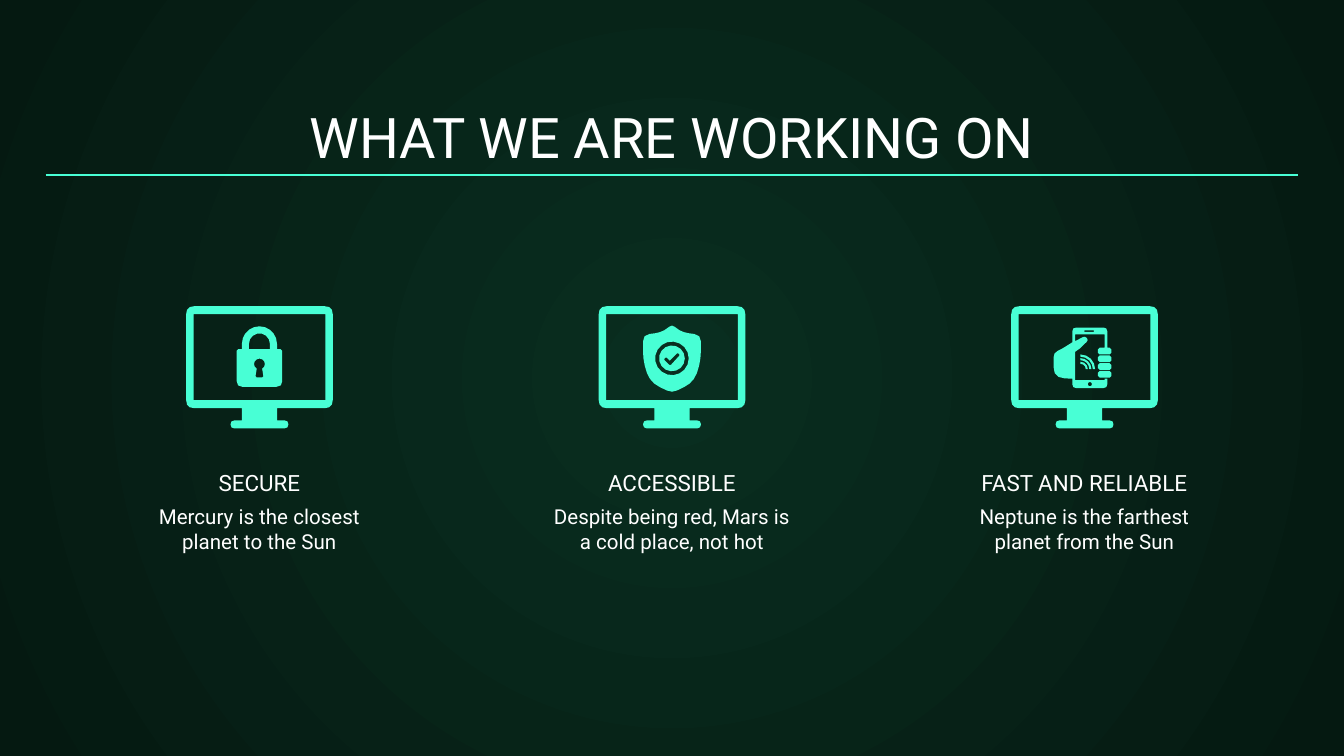
from dataclasses import dataclass
from math import ceil, cos, dist, radians, sin

from lxml.etree import SubElement
from pptx import Presentation
from pptx.dml.color import RGBColor
from pptx.enum.shapes import MSO_CONNECTOR
from pptx.enum.text import MSO_ANCHOR, PP_ALIGN
from pptx.oxml.ns import qn
from pptx.util import Pt


@dataclass(frozen=True)
class Theme:
    accent: RGBColor = RGBColor(0x48, 0xFF, 0xD5)
    text: RGBColor = RGBColor(0xFF, 0xFF, 0xFF)
    center: RGBColor = RGBColor(0x09, 0x2E, 0x20)
    edge: RGBColor = RGBColor(0x05, 0x19, 0x11)
    font: str = "Roboto"
    title_size: int = 30
    label_size: int = 12
    body_size: int = 11


THEME = Theme()
SLIDE_WIDTH, SLIDE_HEIGHT = 720, 405
COLUMN_PITCH = 221
ICON_TOP = 164


# Outlines: lists of (x, y, corner cut) in points, from the icon's top centre
def arc(x, y, radius, start, end):
    steps = ceil((8 + radius) * abs(end - start) / 360)  # larger arcs get more points
    angles = [radians(start + (end - start) * i / steps) for i in range(steps + 1)]
    return [(x + radius * cos(a), y + radius * sin(a), 0) for a in angles]


def circle(x, y, radius):
    return arc(x, y, radius, 0, 360)[:-1]


def box(left, top, right, bottom, cut=0):
    return [(left, top, cut), (right, top, cut), (right, bottom, cut), (left, bottom, cut)]


def mirrored(right_half):
    return right_half + [(-x, y, cut) for x, y, cut in reversed(right_half) if abs(x) > 0.01]


def band(x, y, outer, inner):
    return arc(x, y, outer, -90, 0) + arc(x, y, inner, 0, -90)


def toward(corner, other, length):
    share = length / dist(corner, other)
    return tuple(c + (o - c) * share for c, o in zip(corner, other))


def rounded(outline):
    points = []
    for i, (x, y, cut) in enumerate(outline):
        corner = (x, y)
        if not cut:
            points.append(corner)
            continue
        start = toward(corner, outline[i - 1][:2], cut)
        end = toward(corner, outline[(i + 1) % len(outline)][:2], cut)
        steps = 1 if cut < 1 else 2 if cut < 4 else 3
        for step in range(steps + 1):
            t = step / steps
            points.append(tuple((1 - t) ** 2 * s + 2 * t * (1 - t) * c + t * t * e
                                for s, c, e in zip(start, corner, end)))
    return points


# Icon parts
def monitor():
    frame = mirrored([(39.3, 0, 4.5), (39.3, 54.7, 4.5), (9.4, 54.7, 0),
                      (9.4, 61.2, 0), (15.5, 61.2, 2.1), (15.5, 65.5, 2.1)])
    return [frame, box(-35.3, 4.3, 35.3, 50.4)]


def padlock():
    body = mirrored(arc(0, 20.2, 9.4, -90, 0)
                    + [(9.4, 23, 0), (12.2, 23, 0.9), (12.2, 43.2, 3)])
    shackle_hole = arc(0, 20.2, 5.6, 180, 360) + [(5.6, 23, 0), (-5.6, 23, 0)]
    keyhole = arc(0, 31, 2.9, 120, 420) + [(2.2, 38.2, 0.7), (-2.2, 38.2, 0.7)]
    return [body, shackle_hole, keyhole]


def shield():
    body = mirrored([(0, 9.8, 2), (5, 14, 4), (15.5, 15.4, 3.5),
                     (15.5, 30, 6), (11.5, 41, 5.5), (0, 46.5, 3)])
    check = [(-4.4, 28.5, 0.5), (-3.1, 27.3, 0.5), (-1.2, 29.2, 0),
             (3, 25, 0.5), (4.3, 26.2, 0.5), (-1, 32, 0.7)]
    return [body, circle(0, 28, 9), circle(0, 28, 6.9), check]


def phone_in_hand():
    phone_and_thumb = [
        (12.2, 22.3, 0), (12.2, 11.5, 2), (-6.5, 11.5, 2), (-6.5, 19.4, 0),
        (-12.2, 23, 2), (-16.6, 25, 2.5), (-16.6, 38.5, 6), (-6.5, 38.9, 0),
        (-6.5, 43.9, 2), (12.2, 43.9, 2), (12.2, 38.9, 0), (10.8, 38.9, 0),
        (10.8, 39.6, 0), (-5, 39.6, 0), (-5, 24.5, 0), (-2.5, 22.7, 0),
        (2.2, 18.2, 1.4), (0.3, 16, 1.4), (-5, 18.8, 0), (-5, 15.1, 0),
        (10.8, 15.1, 0), (10.8, 22.3, 0)]
    finger_tops = [22.3 + 4.15 * i for i in range(4)]
    fingers = [box(7.2, top, 14.4, top + 3.6, 0.95) for top in finger_tops]
    signal = [band(-2.2, 33.8, outer, inner)
              for outer, inner in [(7.9, 6.7), (5.9, 4.8), (4, 2.9)]]
    speaker = box(0, 13, 5, 13.8)
    return [phone_and_thumb, speaker, circle(2.9, 41.8, 1.1)] + fingers + signal


# Slide elements
def set_background(slide):
    fill = slide.background.fill
    fill.gradient()
    for position, color in enumerate((THEME.center, THEME.edge)):
        stop = fill.gradient_stops[position]
        stop.color.rgb = color
        stop.position = position
    gradient = slide.element.find(".//" + qn("a:gradFill"))
    gradient.remove(gradient.find(qn("a:lin")))
    radial = SubElement(gradient, qn("a:path"), path="circle")
    SubElement(radial, qn("a:fillToRect"), l="50000", t="50000", r="50000", b="50000")


def add_icon_part(slide, center, outlines):
    units = 100  # outline units per point
    builder = None
    for outline in outlines:
        points = [(x * units, y * units) for x, y in rounded(outline)]
        if builder is None:
            builder = slide.shapes.build_freeform(*points[0], scale=Pt(1) / units)
        else:
            builder.move_to(*points[0])
        builder.add_line_segments(points[1:], close=True)
    shape = builder.convert_to_shape(Pt(center), Pt(ICON_TOP))
    shape.shadow.inherit = False
    shape.fill.solid()
    shape.fill.fore_color.rgb = THEME.accent
    shape.line.fill.background()


def add_text(slide, text, center, top, width, height, size, anchor=MSO_ANCHOR.BOTTOM):
    shape = slide.shapes.add_textbox(Pt(center - width / 2), Pt(top), Pt(width), Pt(height))
    frame = shape.text_frame
    frame.word_wrap = True
    frame.vertical_anchor = anchor
    frame.margin_left = frame.margin_right = Pt(7.2)
    frame.margin_top = frame.margin_bottom = Pt(7.2)
    paragraph = frame.paragraphs[0]
    paragraph.alignment = PP_ALIGN.CENTER
    run = paragraph.add_run()
    run.text = text
    run.font.name = THEME.font
    run.font.size = Pt(size)
    run.font.color.rgb = THEME.text


def add_rule(slide, left, right, y):
    line = slide.shapes.add_connector(MSO_CONNECTOR.STRAIGHT, Pt(left), Pt(y), Pt(right), Pt(y))
    line.line.color.rgb = THEME.accent
    line.line.width = Pt(0.75)
    SubElement(line.element.spPr, qn("a:effectLst"))


def main():
    presentation = Presentation()
    presentation.slide_width, presentation.slide_height = Pt(SLIDE_WIDTH), Pt(SLIDE_HEIGHT)
    slide = presentation.slides.add_slide(presentation.slide_layouts[6])
    set_background(slide)

    # Title
    middle = SLIDE_WIDTH / 2
    add_text(slide, "WHAT WE ARE WORKING ON", middle, 50.4, 671, 47.5, THEME.title_size)
    add_rule(slide, 24.5, 695.5, 93.8)

    # Feature columns
    features = [
        ("SECURE", "Mercury is the closest planet to the Sun", padlock()),
        ("ACCESSIBLE", "Despite being red, Mars is a cold place, not hot", shield()),
        ("FAST AND RELIABLE", "Neptune is the farthest planet from the Sun", phone_in_hand()),
    ]
    for column, (label, description, symbol) in enumerate(features):
        center = middle + (column - 1) * COLUMN_PITCH
        add_icon_part(slide, center, monitor())
        add_icon_part(slide, center, symbol)
        add_text(slide, label, center, 257.8, 163.4, 15.1, THEME.label_size)
        add_text(slide, description, center, 262.8, 149, 39.6, THEME.body_size, MSO_ANCHOR.TOP)

    presentation.save("out.pptx")


if __name__ == "__main__":
    main()
